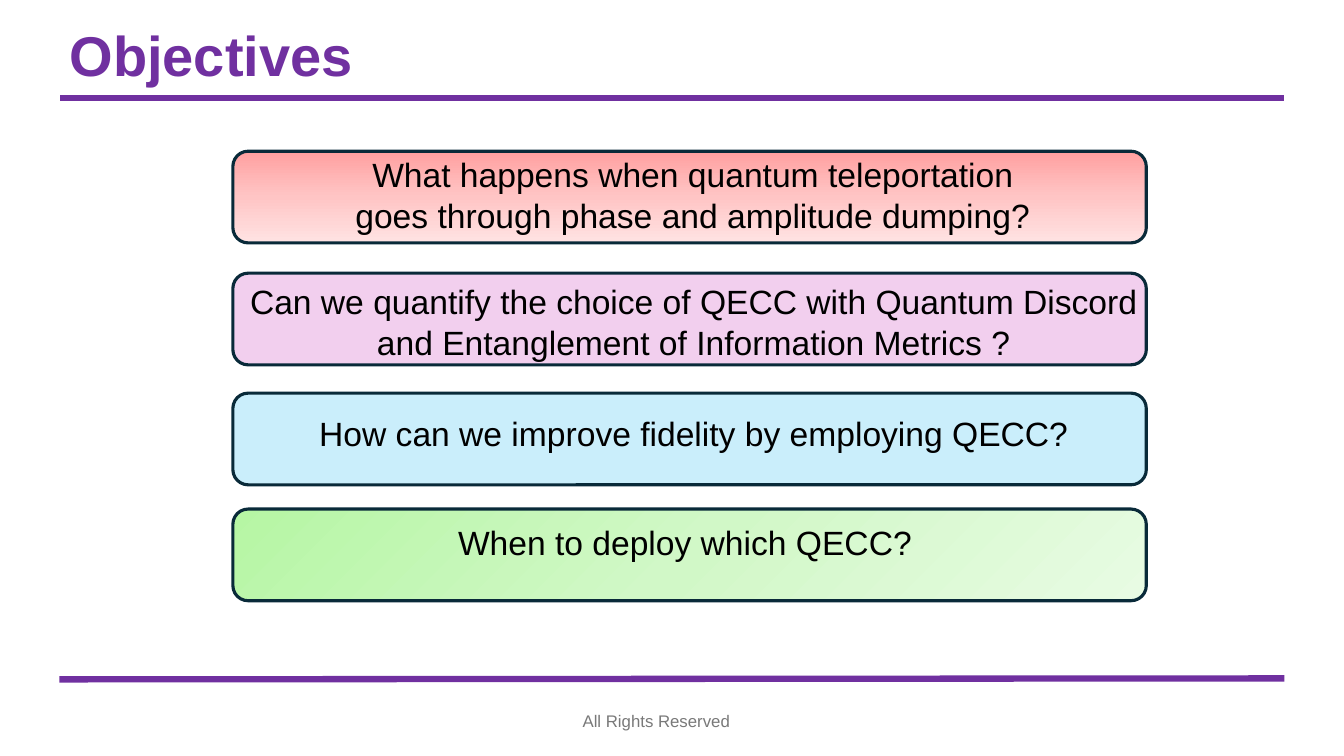
"""Build the Objectives slide with four question cards."""
import copy
from dataclasses import dataclass

import pptx
import pptx.dml.color
import pptx.enum.shapes
import pptx.enum.text
import pptx.oxml
import pptx.oxml.ns
import pptx.util

Inches = pptx.util.Inches
Pt = pptx.util.Pt
Align = pptx.enum.text.PP_ALIGN
Anchor = pptx.enum.text.MSO_ANCHOR
Fit = pptx.enum.text.MSO_AUTO_SIZE


@dataclass(frozen=True)
class Theme:
    font: str = "Arial"
    accent: str = "7030A0"
    edge: str = "092A39"
    ink: str = "000000"
    muted: str = "797979"
    red: tuple = ("FFA0A0", "FFC5C5", "FFE3E3")
    pink: tuple = ("F2CFEE",)
    blue: tuple = ("CAEEFB",)
    green: tuple = ("B6F6A4", "D1F8C7", "E8FBE3")
    title: int = 40
    body: int = 24
    small: int = 12
    rule: float = 4.5
    border: float = 2.25


THEME = Theme()

CARDS = [
    (1.5, THEME.red, 90, (3.28, 1.48, 7.18, 0.91),
     "What happens when quantum teleportation goes through phase and amplitude dumping?"),
    (2.71, THEME.pink, 0, (2.35, 2.74, 9.06, 0.91),
     "Can we quantify the choice of QECC with Quantum Discord "
     "and Entanglement of Information Metrics ?"),
    (3.9, THEME.blue, 0, (2.68, 4.05, 8.4, 0.5),
     "How can we improve fidelity by employing QECC?"),
    (5.05, THEME.green, 45, (2.64, 5.13, 8.4, 0.5),
     "When to deploy which QECC? "),
]


def rgb(code):
    return pptx.dml.color.RGBColor.from_string(code)


def write(frame, text, size, color, align, bold=False):
    frame.word_wrap = True
    para = frame.paragraphs[0]
    para.alignment = align
    run = para.add_run()
    run.text = text
    run.font.name = THEME.font
    run.font.size = Pt(size)
    run.font.bold = bold
    run.font.color.rgb = rgb(color)
    return para


def add_title(slide, text):
    title = slide.shapes.title
    title.left, title.top = Inches(0.59), Inches(0.15)
    title.width, title.height = Inches(12.15), Inches(0.85)
    frame = title.text_frame
    frame.auto_size = Fit.NONE
    frame.vertical_anchor = Anchor.MIDDLE
    para = write(frame, text, THEME.title, THEME.accent, Align.LEFT, True)
    para.line_spacing = 0.9


def add_rule(slide, left, start, end):
    kind = pptx.enum.shapes.MSO_CONNECTOR.STRAIGHT
    rule = slide.shapes.add_connector(
        kind, Inches(left), Inches(start), Inches(12.74), Inches(end))
    rule.line.color.rgb = rgb(THEME.accent)
    rule.line.width = Pt(THEME.rule)
    rule._element.spPr.append(pptx.oxml.parse_xml(
        f"<a:effectLst {pptx.oxml.ns.nsdecls('a')}/>"))


def blend(shape, colors, angle):
    fill = shape.fill
    fill.gradient()
    fill.gradient_angle = 360 - angle
    stops = next(shape._element.iter(pptx.oxml.ns.qn("a:gsLst")))
    while len(stops) < len(colors):
        stops.append(copy.deepcopy(stops[0]))
    for place, (stop, color) in enumerate(zip(fill.gradient_stops, colors)):
        stop.position = place / (len(colors) - 1)
        stop.color.rgb = rgb(color)


def add_card(slide, top, colors, angle):
    kind = pptx.enum.shapes.MSO_SHAPE.ROUNDED_RECTANGLE
    card = slide.shapes.add_shape(
        kind, Inches(2.31), Inches(top), Inches(9.06), Inches(0.91))
    card.shadow.inherit = False
    card.line.color.rgb = rgb(THEME.edge)
    card.line.width = Pt(THEME.border)
    if len(colors) > 1:
        blend(card, colors, angle)
    else:
        card.fill.solid()
        card.fill.fore_color.rgb = rgb(colors[0])


def add_text(slide, box, text, size, color, anchor=Anchor.TOP):
    label = slide.shapes.add_textbox(*map(Inches, box))
    label.text_frame.vertical_anchor = anchor
    write(label.text_frame, text, size, color, Align.CENTER)


def main():
    deck = pptx.Presentation()
    deck.slide_width, deck.slide_height = Inches(13.33), Inches(7.5)
    slide = deck.slides.add_slide(deck.slide_layouts[5])
    add_rule(slide, 0.6, 0.97, 0.97)
    add_rule(slide, 0.59, 6.74, 6.73)
    add_title(slide, "Objectives")
    for top, colors, angle, box, text in CARDS:
        add_card(slide, top, colors, angle)
        add_text(slide, box, text, THEME.body, THEME.ink)
    add_text(slide, (4.26, 6.95, 4.5, 0.4), "All Rights Reserved",
             THEME.small, THEME.muted, Anchor.MIDDLE)
    deck.save("out.pptx")


if __name__ == "__main__":
    main()
